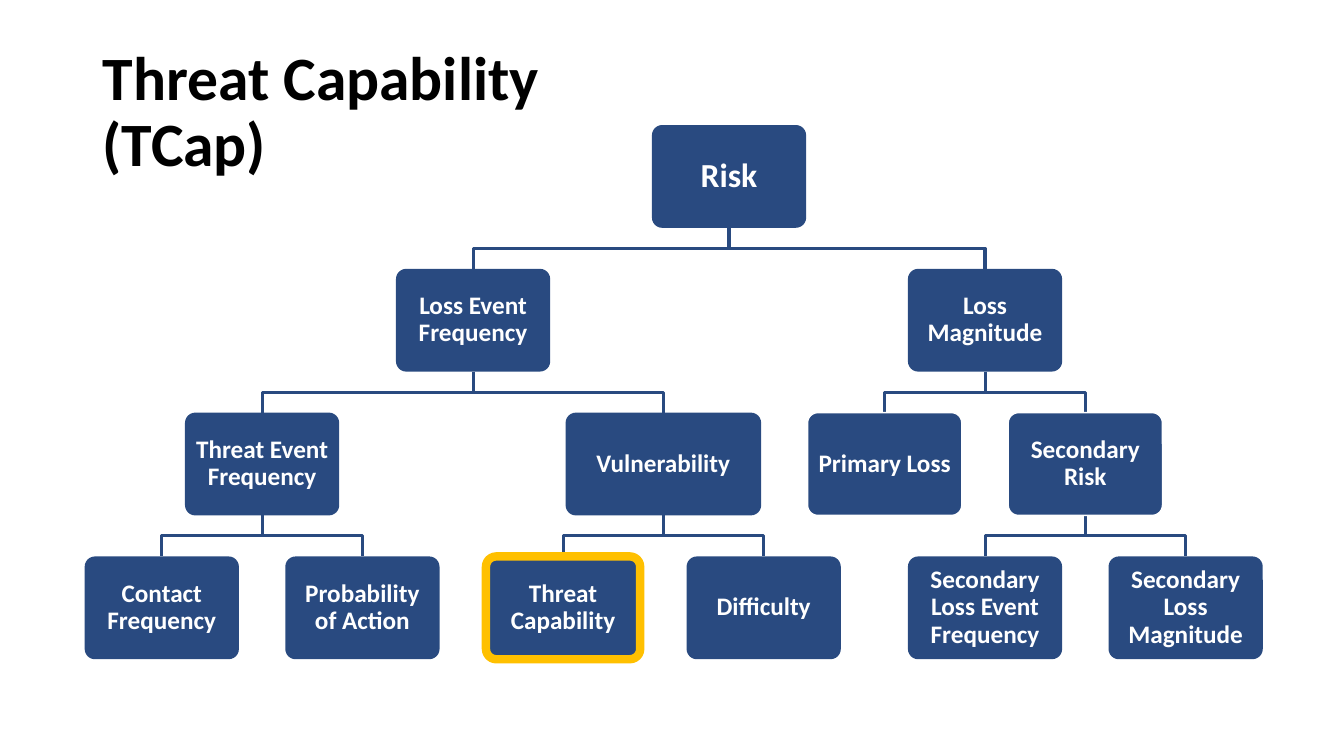
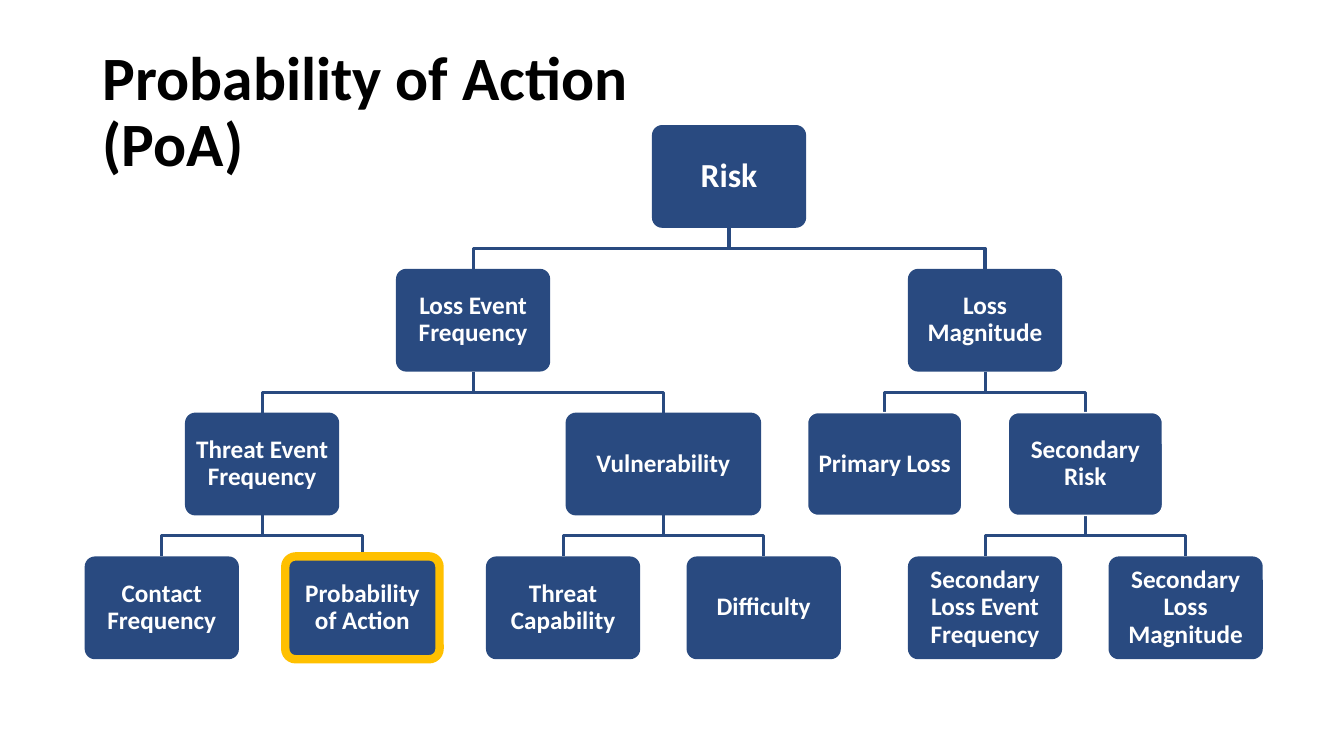
"""Builds two risk-tree slides, each with one factor highlighted."""
import collections
import dataclasses

import pptx
import pptx.dml.color
import pptx.enum.shapes
import pptx.enum.text
import pptx.util

Inches = pptx.util.Inches
Pt = pptx.util.Pt
ALIGN = pptx.enum.text.PP_ALIGN

COLORS = {"navy": "294A80", "white": "FFFFFF", "black": "000000", "gold": "FFC000"}
FONT_NAME = "Calibri"
TITLE_BOX = (0.92, 0.4, 11.5, 1.45)
TREE_BOX = (0.84, 1.24, 11.66, 5.3)
FACTOR_WIDTH, FACTOR_HEIGHT, FACTOR_GAP = 1.53, 1.02, 0.46
LEVELS = 4
TITLE_STYLE = {"size": 44, "color": "black", "align": ALIGN.LEFT}
ROOT_STYLE = {"size": 24, "color": "white", "align": ALIGN.CENTER, "inset": 0.1}
FACTOR_STYLE = {"size": 18, "color": "white", "align": ALIGN.CENTER, "inset": 0.07}
SLIDES = [
    ("Threat Capability\v(TCap)", "Threat Capability"),
    ("Probability of Action\v(PoA)", "Probability of Action"),
]


@dataclasses.dataclass
class Factor:
    """One factor of the risk tree, with its place in the layout."""
    label: str
    children: tuple = ()
    width: float = FACTOR_WIDTH
    outline: tuple = None
    left: float = 0
    level: int = 0

    @property
    def center(self):
        """Return the horizontal middle of the factor."""
        return self.left + self.width / 2


THIN_WHITE = ("white", 1)
RISK_TREE = Factor("Risk", (
    Factor("Loss Event Frequency", (
        Factor("Threat Event Frequency", (
            Factor("Contact Frequency"), Factor("Probability of Action"))),
        Factor("Vulnerability", (
            Factor("Threat Capability"), Factor("Difficulty")), width=1.94))),
    Factor("Loss Magnitude", (
        Factor("Primary Loss", outline=THIN_WHITE),
        Factor("Secondary Risk", (
            Factor("Secondary Loss Event Frequency"),
            Factor("Secondary Loss Magnitude")), outline=THIN_WHITE))),
))


def rgb(name):
    """Return a named colour as an RGB value."""
    return pptx.dml.color.RGBColor.from_string(COLORS[name])


def apply_format(target, values):
    """Set each attribute in a dict of format values."""
    for attribute, value in values.items():
        setattr(target, attribute, value)


def write_text(frame, text, style):
    """Write bold text in the middle of a frame."""
    apply_format(frame, {
        "text": text, "word_wrap": True,
        "vertical_anchor": pptx.enum.text.MSO_ANCHOR.MIDDLE})
    if "inset" in style:
        sides = ("margin_left", "margin_top", "margin_right", "margin_bottom")
        apply_format(frame, dict.fromkeys(sides, Inches(style["inset"])))
    paragraph = frame.paragraphs[0]
    apply_format(paragraph, {"alignment": style["align"], "line_spacing": 0.9})
    apply_format(paragraph.font, {
        "name": FONT_NAME, "size": Pt(style["size"]), "bold": True})
    paragraph.font.color.rgb = rgb(style["color"])


def set_outline(shape, outline):
    """Give a shape an outline of a colour and width, or none."""
    if outline is None:
        shape.line.fill.background()
        return
    color, width = outline
    shape.line.color.rgb = rgb(color)
    shape.line.width = Pt(width)


def shift(factor, distance, next_left):
    """Move a factor and everything below it to the right."""
    factor.left += distance
    next_left[factor.level] = factor.left + factor.width + FACTOR_GAP
    for child in factor.children:
        shift(child, distance, next_left)


def arrange(factor, next_left, level=0):
    """Centre a factor over its children, clear of its left neighbours."""
    factor.level = level
    for child in factor.children:
        arrange(child, next_left, level + 1)
    free_left = next_left[level]
    factor.left = free_left
    if factor.children:
        first, last = factor.children[0], factor.children[-1]
        factor.left = (first.left + last.left + last.width - factor.width) / 2
    shift(factor, max(0, free_left - factor.left), next_left)


def add_branch(slide, start, end):
    """Draw a stepped line from a parent to a child."""
    (start_x, start_y), (end_x, end_y) = start, end
    middle_y = (start_y + end_y) / 2
    builder = slide.shapes.build_freeform(Inches(start_x), Inches(start_y))
    corners = [(start_x, middle_y), (end_x, middle_y), (end_x, end_y)]
    builder.add_line_segments(
        [(Inches(x), Inches(y)) for x, y in corners], close=False)
    branch = builder.convert_to_shape()
    branch.fill.background()
    branch.shadow.inherit = False
    set_outline(branch, ("navy", 2.25))


def add_factor(slide, factor, top, row_step, highlighted):
    """Draw a factor, its branches and its children."""
    for child in factor.children:
        add_branch(slide, (factor.center, top + FACTOR_HEIGHT),
                   (child.center, top + row_step))
        add_factor(slide, child, top + row_step, row_step, highlighted)
    tile = slide.shapes.add_shape(
        pptx.enum.shapes.MSO_SHAPE.ROUNDED_RECTANGLE, Inches(factor.left),
        Inches(top), Inches(factor.width), Inches(FACTOR_HEIGHT))
    tile.adjustments[0] = 0.1
    tile.shadow.inherit = False
    tile.fill.solid()
    tile.fill.fore_color.rgb = rgb("navy")
    is_highlighted = factor.label == highlighted
    set_outline(tile, ("gold", 6) if is_highlighted else factor.outline)
    write_text(tile.text_frame, factor.label,
               FACTOR_STYLE if factor.level else ROOT_STYLE)


def add_tree(slide, box, highlighted):
    """Lay out and draw the risk tree in a box."""
    left, top, _, height = box
    arrange(RISK_TREE, collections.defaultdict(lambda: left))
    row_step = (height - FACTOR_HEIGHT) / (LEVELS - 1)
    add_factor(slide, RISK_TREE, top, row_step, highlighted)


def add_title(slide, box, text):
    """Write the slide title in a box."""
    title = slide.shapes.add_textbox(*map(Inches, box))
    write_text(title.text_frame, text, TITLE_STYLE)


def main():
    """Build and save the presentation."""
    deck = pptx.Presentation()
    apply_format(deck, {"slide_width": Inches(13.33), "slide_height": Inches(7.5)})
    for title, highlighted in SLIDES:
        slide = deck.slides.add_slide(deck.slide_layouts[6])
        add_title(slide, TITLE_BOX, title)
        add_tree(slide, TREE_BOX, highlighted)
    deck.save("out.pptx")


if __name__ == "__main__":
    main()
